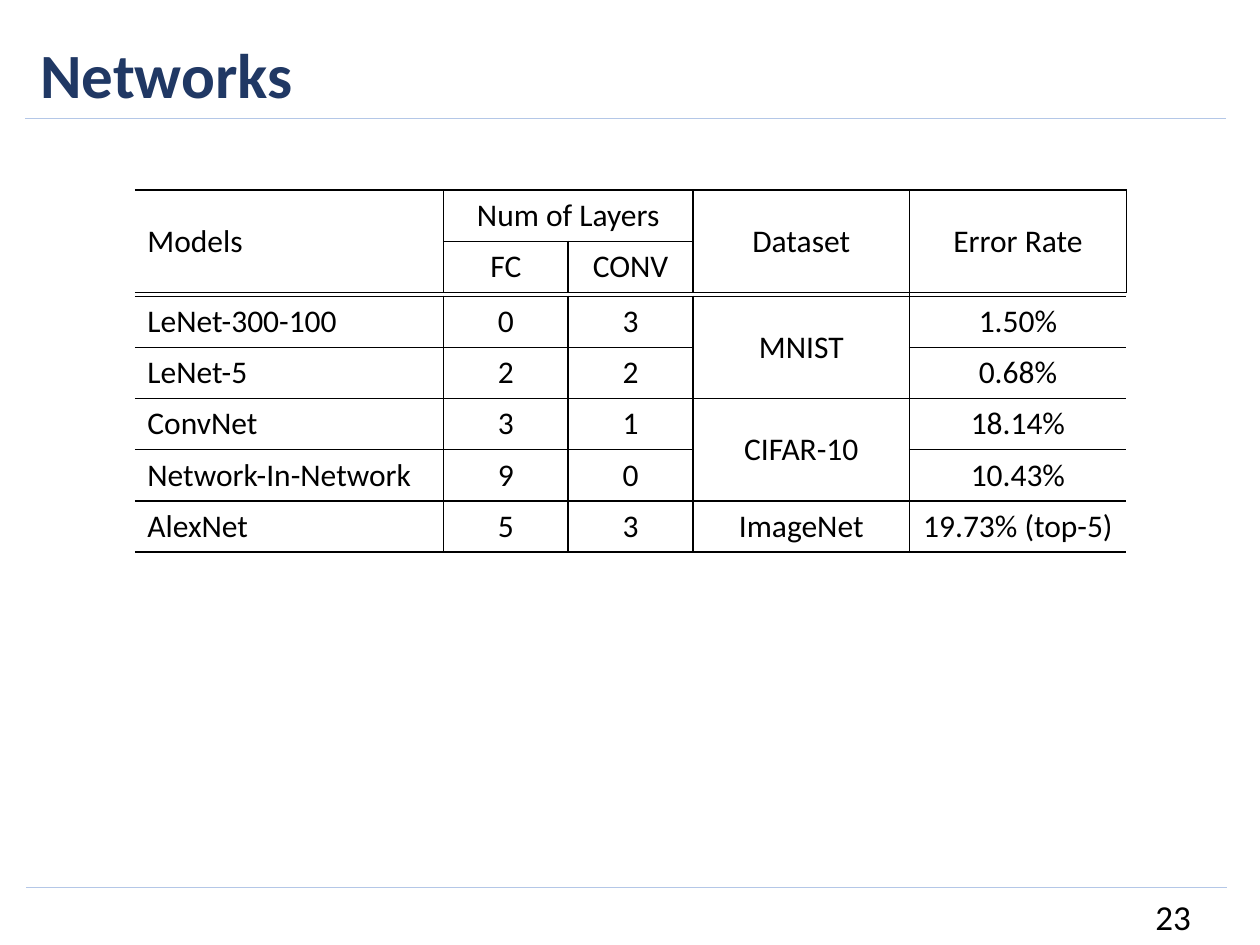
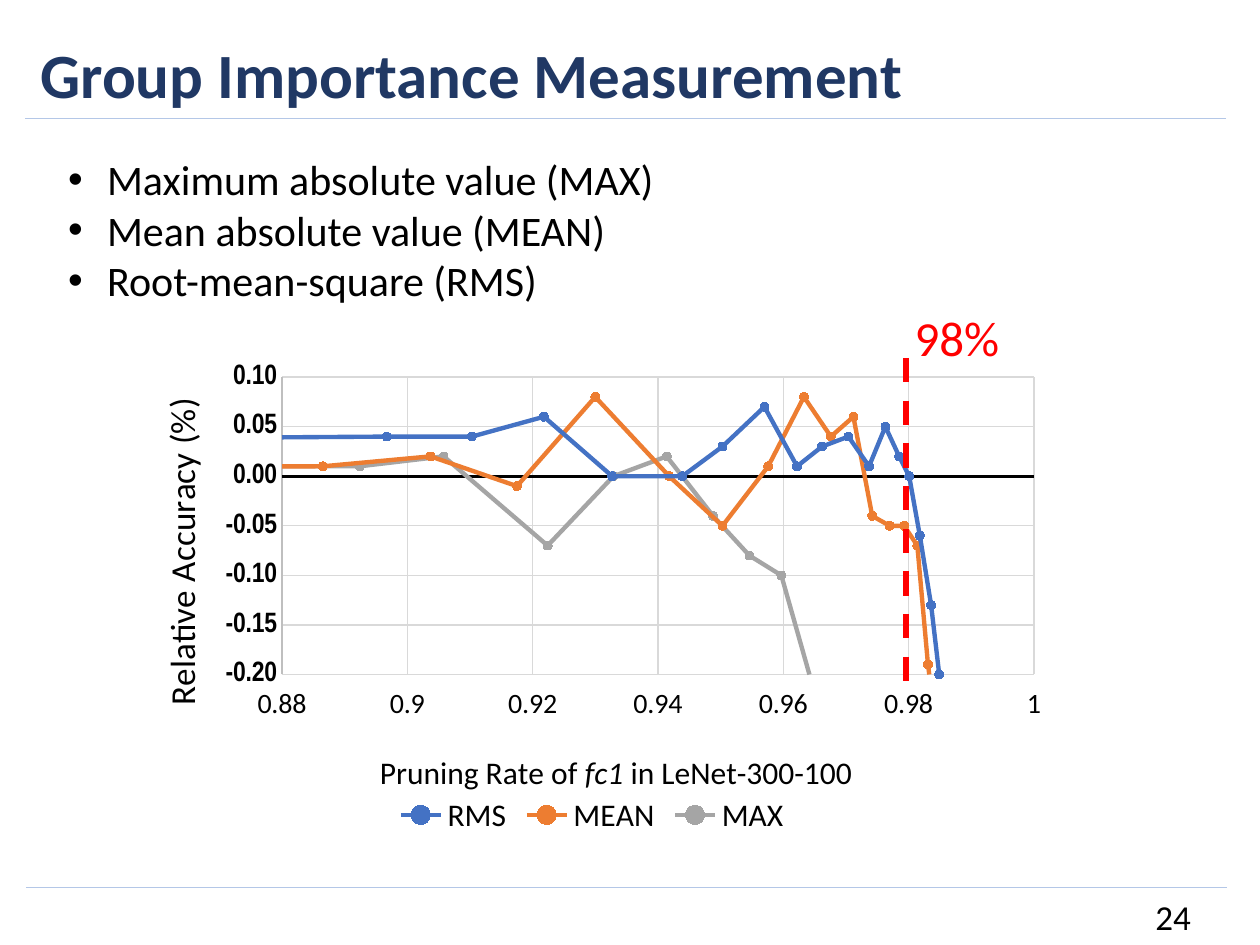
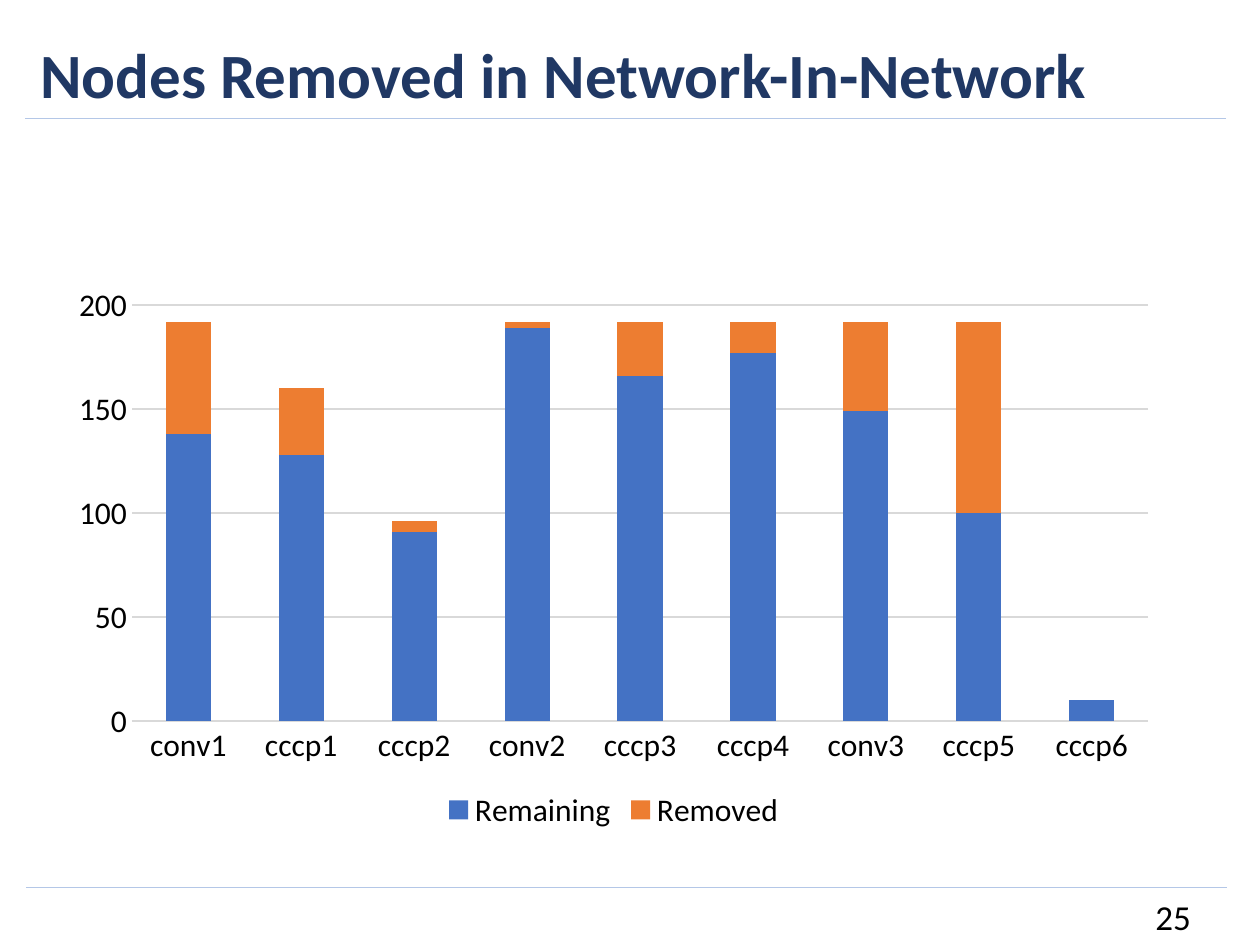
from lxml.etree import SubElement
from pptx import Presentation
from pptx.chart.data import CategoryChartData, XyChartData
from pptx.dml.color import RGBColor
from pptx.enum.chart import XL_CHART_TYPE as ChartType, XL_LEGEND_POSITION as LegendPosition
from pptx.enum.chart import XL_MARKER_STYLE as Marker, XL_TICK_LABEL_POSITION as LabelPosition
from pptx.enum.chart import XL_TICK_MARK as TickMark
from pptx.enum.dml import MSO_LINE as Dash
from pptx.enum.shapes import MSO_CONNECTOR as Connector
from pptx.enum.text import MSO_ANCHOR as Anchor, MSO_AUTO_SIZE as AutoSize, PP_ALIGN as Align
from pptx.oxml.ns import qn
from pptx.util import Inches, Pt

WIDTH, HEIGHT = Inches(10), Inches(7.5)
COLUMNS, ROWS = 100, 75
FONT = "Calibri"
NAVY, RULE, BLACK, RED = "203864", "B4C7E7", "000000", "FF0000"
BLUE, ORANGE, GRAY = "4472C4", "ED7D31", "A5A5A5"
GRID, AXIS = "D9D9D9", "BFBFBF"
PLAIN_TABLE = "{2D5ABB26-0587-4C30-8999-92F81FD0307C}"
TITLE_ONLY, TITLE_AND_BODY = 5, 1

MODEL_ROWS = [
    ["Models", "Num of Layers", "", "Dataset", "Error Rate"],
    ["", "FC", "CONV", "", ""],
    ["", "", "", "", ""],
    ["LeNet-300-100", "0", "3", "MNIST", "1.50%"],
    ["LeNet-5", "2", "2", "", "0.68%"],
    ["ConvNet", "3", "1", "CIFAR-10", "18.14%"],
    ["Network-In-Network", "9", "0", "", "10.43%"],
    ["AlexNet", "5", "3", "ImageNet", "19.73% (top-5)"],
]
MODEL_SPANS = [((0, 0), (1, 0)), ((0, 1), (0, 2)), ((0, 3), (1, 3)),
               ((0, 4), (1, 4)), ((3, 3), (4, 3)), ((5, 3), (6, 3))]
DOUBLE_RULE_ROW = 2

PRUNING_PER_MILLE = {
    "RMS": (BLUE,
            [0, 896.7, 910.3, 921.8, 932.7, 943.9, 950.3, 957, 962.2, 966.2,
             970.4, 973.7, 976.3, 978.5, 980.1, 981.8, 983.6, 984.9],
            [0, 0.04, 0.04, 0.06, 0, 0, 0.03, 0.07, 0.01, 0.03,
             0.04, 0.01, 0.05, 0.02, 0, -0.06, -0.13, -0.2]),
    "MEAN": (ORANGE,
             [0, 886.5, 903.7, 917.5, 930, 941.8, 950.3, 957.6, 963.3, 967.6,
              971.2, 974.2, 977, 979.3, 981.4, 983.1, 1000],
             [0, 0.01, 0.02, -0.01, 0.08, 0, -0.05, 0.01, 0.08, 0.04,
              0.06, -0.04, -0.05, -0.05, -0.07, -0.19, -1]),
    "MAX": (GRAY,
            [0, 860, 870, 892.4, 905.8, 922.4, 932.9, 941.4, 948.8, 954.6, 959.7, 1000],
            [0, 0.01, 0.01, 0.01, 0.02, -0.07, 0, 0.02, -0.04, -0.08, -0.1, -1]),
    "Series 4": (BLACK, [0, 1000], [0, 0]),
}
LAYERS = ["conv1", "cccp1", "cccp2", "conv2", "cccp3", "cccp4", "conv3", "cccp5", "cccp6"]
NODES = {
    "Remaining": (BLUE, [138, 128, 91, 189, 166, 177, 149, 100, 10]),
    "Removed": (ORANGE, [54, 32, 5, 3, 26, 15, 43, 92, 0]),
}


def across(columns):
    return int(WIDTH * columns / COLUMNS)


def down(rows):
    return int(HEIGHT * rows / ROWS)


def area(left, top, width, height):
    return across(left), down(top), across(width), down(height)


def color(value):
    return RGBColor.from_string(value)


def style_line(line, value, weight):
    line.color.rgb = color(value)
    line.width = Pt(weight)


def style_font(font, size, value=BLACK, name=FONT, bold=False, italic=False):
    font.size, font.name, font.bold, font.italic = Pt(size), name, bold, italic
    font.color.rgb = color(value)


def write(frame, text, align=Align.LEFT, anchor=Anchor.TOP, **font):
    frame.text = text
    frame.vertical_anchor = anchor
    for para in frame.paragraphs:
        para.alignment = align
        para.space_before = Pt(0)
        for span in para.runs:
            style_font(span.font, **font)


def fit_frame(box, place):
    box.left, box.top, box.width, box.height = place
    box.text_frame.word_wrap = True
    box.text_frame.auto_size = AutoSize.NONE


def add_text(page, place, text, **style):
    box = page.shapes.add_textbox(*place)
    fit_frame(box, place)
    write(box.text_frame, text, **style)
    return box


def add_line(page, start, end, value, weight):
    line = page.shapes.add_connector(Connector.STRAIGHT, across(start[0]), down(start[1]),
                                     across(end[0]), down(end[1]))
    style_line(line.line, value, weight)
    SubElement(line._element.spPr, qn("a:effectLst"))
    return line


def add_master_rules(deck, page):
    for left, top in ((2.1, 70.4), (2, 9.4)):
        rule = add_line(page, (left, top), (left + 95.3, top), RULE, 0.5)
        deck.slide_master.shapes._spTree.append(rule._element)


def add_page(deck, layout, title, number):
    page = deck.slides.add_slide(deck.slide_layouts[layout])
    fit_frame(page.shapes.title, area(2.2, 2.3, 95, 7.1))
    write(page.shapes.title.text_frame, title, size=36, value=NAVY, bold=True)
    add_text(page, area(73, 70.7, 22.5, 4), str(number), size=20,
             align=Align.RIGHT, anchor=Anchor.MIDDLE)
    return page


def fill_bullets(page, place, items):
    body = page.placeholders[1]
    fit_frame(body, place)
    write(body.text_frame, "\n".join(items), size=24)
    for para in body.text_frame.paragraphs:
        props = para._p.get_or_add_pPr()
        props.set("marL", str(across(3.1)))
        props.set("indent", str(-across(3.1)))
        SubElement(props, qn("a:buFont"), typeface="Arial")
        SubElement(props, qn("a:buChar"), char="•")


def border_cell(cell, sides):
    props = cell._tc.get_or_add_tcPr()
    for side in sides:
        edge = SubElement(props, qn(f"a:ln{side}"), w=str(Pt(1)))
        fill = SubElement(edge, qn("a:solidFill"))
        SubElement(fill, qn("a:srgbClr"), val=BLACK)


def cell_sides(row, column, last):
    if row == DOUBLE_RULE_ROW:
        left, right = column == last, column == last - 1
    else:
        left, right = column > 0, column < last
    return "L" * left + "R" * right + "TB"


def add_model_table(page, place, widths):
    table = page.shapes.add_table(len(MODEL_ROWS), len(widths), *place).table
    table.first_row = table.horz_banding = False
    table._tbl.tblPr.find(qn("a:tableStyleId")).text = PLAIN_TABLE
    for column, width in zip(table.columns, widths):
        column.width = across(width)
    for first, last in MODEL_SPANS:
        table.cell(*first).merge(table.cell(*last))
    for r, texts in enumerate(MODEL_ROWS):
        thin = r == DOUBLE_RULE_ROW
        table.rows[r].height = down(0.3 if thin else 4.06)
        for c, text in enumerate(texts):
            cell = table.cell(r, c)
            if not cell.is_spanned:
                border_cell(cell, cell_sides(r, c, len(widths) - 1))
            cell.fill.background()
            if text:
                write(cell.text_frame, text, size=18, align=Align.CENTER if c else Align.LEFT)
            cell.vertical_anchor = Anchor.MIDDLE
            if thin:
                cell.margin_top = cell.margin_bottom = 0
                SubElement(cell.text_frame.paragraphs[0]._p, qn("a:endParaRPr"), sz="100")


def set_layout(parent, index, **shares):
    for old in parent.findall(qn("c:layout")):
        parent.remove(old)
    layout = SubElement(parent, qn("c:layout"))
    parent.insert(index, layout)
    manual = SubElement(layout, qn("c:manualLayout"))
    if "w" in shares:
        SubElement(manual, qn("c:layoutTarget"), val="inner")
    for name in ("xMode", "yMode"):
        SubElement(manual, qn(f"c:{name}"), val="edge")
    for name, share in shares.items():
        SubElement(manual, qn(f"c:{name}"), val=str(share))


def style_axis(axis, size, line=None, grid=None, limits=None, step=None, **font):
    style_font(axis.tick_labels.font, size, **font)
    axis.major_tick_mark = axis.minor_tick_mark = TickMark.NONE
    axis.has_major_gridlines = grid is not None
    if grid:
        style_line(axis.major_gridlines.format.line, grid, 0.75)
    if line:
        style_line(axis.format.line, line, 0.75)
    else:
        axis.format.line.fill.background()
    if limits:
        axis.minimum_scale, axis.maximum_scale = limits
        axis.major_unit = step


def title_axis(axis, spans, size, x, y):
    axis.has_title = True
    para = axis.axis_title.text_frame.paragraphs[0]
    for text, italic in spans:
        span = para.add_run()
        span.text = text
        style_font(span.font, size, italic=italic)
    set_layout(axis.axis_title._element, 1, x=x, y=y)


def add_chart(page, place, kind, data, size):
    chart = page.shapes.add_chart(kind, *place, data).chart
    chart.has_title = False
    style_font(chart.font, size)
    chart.has_legend = True
    chart.legend.position = LegendPosition.BOTTOM
    chart.legend.include_in_layout = False
    style_font(chart.legend.font, 18)
    chart.plots[0].vary_by_categories = False
    return chart


def hide_legend_entry(legend, index):
    entry = SubElement(legend._element, qn("c:legendEntry"))
    legend._element.insert(1, entry)
    SubElement(entry, qn("c:idx"), val=str(index))
    SubElement(entry, qn("c:delete"), val="1")


def add_accuracy_chart(page, place):
    data = XyChartData()
    for name, (_, rates, accuracies) in PRUNING_PER_MILLE.items():
        series = data.add_series(name)
        for rate, accuracy in zip(rates, accuracies):
            series.add_data_point(rate / 1000, accuracy)
    chart = add_chart(page, place, ChartType.XY_SCATTER_LINES, data, 16)
    for series, (value, rates, _) in zip(chart.plots[0].series, PRUNING_PER_MILLE.values()):
        baseline = len(rates) == 2
        series.smooth = False
        style_line(series.format.line, value, 1.5 if baseline else 2.5)
        series.marker.style = Marker.NONE if baseline else Marker.CIRCLE
        if not baseline:
            series.marker.size = 5
            series.marker.format.fill.solid()
            series.marker.format.fill.fore_color.rgb = color(value)
            style_line(series.marker.format.line, value, 0.75)
    hide_legend_entry(chart.legend, 3)
    rate_axis, accuracy_axis = chart.category_axis, chart.value_axis
    style_axis(rate_axis, 16, AXIS, GRID, (0.88, 1), 0.02)
    rate_axis.tick_labels.number_format = "General"
    rate_axis.tick_labels.number_format_is_linked = False
    rate_axis.tick_label_position = LabelPosition.LOW
    style_axis(accuracy_axis, 16, AXIS, GRID, (-0.2, 0.1), 0.05, name="Arial Narrow", bold=True)
    accuracy_axis.tick_labels.number_format = "#,##0.00"
    accuracy_axis.tick_labels.number_format_is_linked = False
    title_axis(rate_axis, [("Pruning Rate of ", False), ("fc1", True),
                           (" in LeNet-300-100", False)], 18, 0.27, 0.81)
    title_axis(accuracy_axis, [("Relative Accuracy (%)", False)], 20, 0.03, 0.08)
    turned = accuracy_axis.axis_title.text_frame._txBody.find(qn("a:bodyPr"))
    turned.set("rot", "-5400000")
    turned.set("vert", "horz")
    set_layout(chart._chartSpace.chart.plotArea, 0, x=0.17, y=0.05, w=0.8, h=0.61)


def add_node_chart(page, place):
    data = CategoryChartData()
    data.categories = LAYERS
    for name, (_, counts) in NODES.items():
        data.add_series(name, counts)
    chart = add_chart(page, place, ChartType.COLUMN_STACKED, data, 18)
    plot = chart.plots[0]
    plot.gap_width, plot.overlap = 150, 100
    for series, (value, _) in zip(plot.series, NODES.values()):
        series.format.fill.solid()
        series.format.fill.fore_color.rgb = color(value)
    style_axis(chart.category_axis, 18, GRID)
    style_axis(chart.value_axis, 18, grid=GRID, limits=(0, 200), step=50)


def main():
    deck = Presentation()
    deck.slide_width, deck.slide_height = WIDTH, HEIGHT

    networks = add_page(deck, TITLE_ONLY, "Networks", 23)
    add_master_rules(deck, networks)
    add_model_table(networks, area(10.7, 15.1, 78.7, 28.7), [24.5, 9.9, 9.9, 17.2, 17.2])

    importance = add_page(deck, TITLE_AND_BODY, "Group Importance Measurement", 24)
    fill_bullets(importance, area(4.4, 11.7, 76.7, 13.1),
                 ["Maximum absolute value (MAX)", "Mean absolute value (MEAN)",
                  "Root-mean-square (RMS)"])
    add_accuracy_chart(importance, area(9.7, 28, 74.6, 38.7))
    limit = add_line(importance, (71.9, 28.4), (71.9, 54.6), RED, 3.5)
    limit.line.dash_style = Dash.DASH
    label = add_text(importance, area(67.7, 24.4, 16.5, 5.5), "98%",
                     size=28, value=RED, align=Align.CENTER)
    frame = label.text_frame
    frame.margin_left = frame.margin_right = frame.margin_top = frame.margin_bottom = 0

    nodes = add_page(deck, TITLE_ONLY, "Nodes Removed in Network-In-Network", 25)
    add_node_chart(nodes, area(4.5, 21.8, 88.4, 44.5))

    deck.save("out.pptx")


if __name__ == "__main__":
    main()
